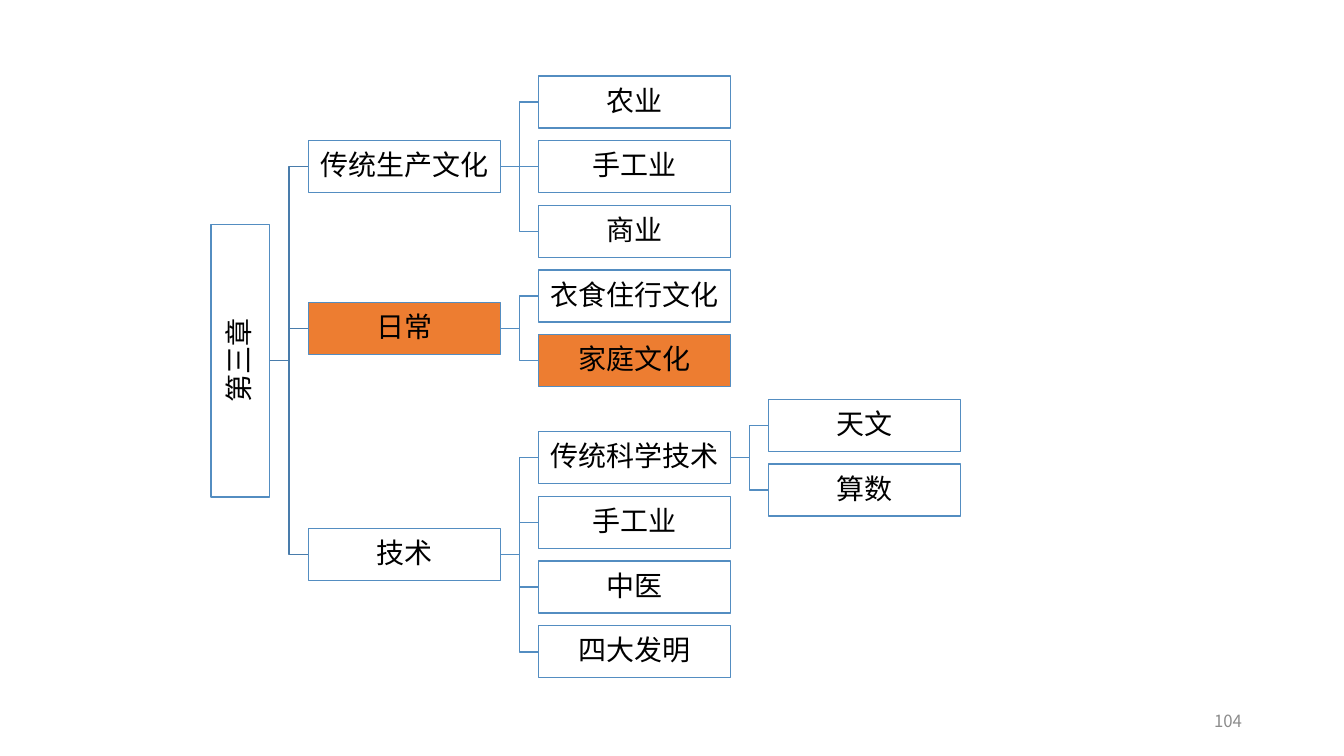
from collections.abc import Iterator
from dataclasses import dataclass

from lxml import etree
from pptx import Presentation
from pptx.dml.color import RGBColor
from pptx.enum.shapes import MSO_CONNECTOR, MSO_SHAPE
from pptx.enum.text import MSO_ANCHOR, PP_ALIGN
from pptx.oxml.ns import qn
from pptx.shapes.autoshape import Shape
from pptx.slide import Slide
from pptx.util import Cm, Pt

ELBOW, STRAIGHT = MSO_CONNECTOR.ELBOW, MSO_CONNECTOR.STRAIGHT
RECTANGLE = MSO_SHAPE.RECTANGLE
MIDDLE = MSO_ANCHOR.MIDDLE
CENTER, RIGHT = PP_ALIGN.CENTER, PP_ALIGN.RIGHT

WHITE = RGBColor(0xFF, 0xFF, 0xFF)
BLACK = RGBColor(0x00, 0x00, 0x00)
GRAY = RGBColor(0x8C, 0x8C, 0x8C)
ORANGE = RGBColor(0xED, 0x7D, 0x31)
BLUE = RGBColor(0x53, 0x8D, 0xC1)
DARK_BLUE = RGBColor(0x49, 0x7C, 0xAB)

FONT = "Noto Sans CJK SC"
FIRST_ROW, ROW_PITCH = 2.57, 1.63
FIRST_COLUMN, COLUMN_PITCH = 7.77, 5.8
BOX_WIDTH, BOX_HEIGHT = 4.84, 1.31
ROOT_CENTER, ROOT_LENGTH, ROOT_THICKNESS = 6.06, 6.87, 1.48


@dataclass(frozen=True)
class Topic:
    text: str
    leaf_row: float = 0
    children: tuple["Topic", ...] = ()
    fill: RGBColor = WHITE

    @property
    def row(self) -> float:
        if self.children:
            return (self.children[0].row + self.children[-1].row) / 2
        return self.leaf_row

    @property
    def center_y(self) -> float:
        return FIRST_ROW + self.row * ROW_PITCH


CHAPTER = Topic("第三章", children=(
    Topic("传统生产文化", children=(
        Topic("农业", 0),
        Topic("手工业", 1),
        Topic("商业", 2),
    )),
    Topic("日常", fill=ORANGE, children=(
        Topic("衣食住行文化", 3),
        Topic("家庭文化", 4, fill=ORANGE),
    )),
    Topic("技术", children=(
        Topic("传统科学技术", children=(
            Topic("天文", 5),
            Topic("算数", 6),
        )),
        Topic("手工业", 6.5),
        Topic("中医", 7.5),
        Topic("四大发明", 8.5),
    )),
))


def column_left(level: int) -> float:
    return FIRST_COLUMN + (level - 1) * COLUMN_PITCH


def column_right(level: int) -> float:
    if level == 0:
        return ROOT_CENTER + ROOT_THICKNESS / 2
    return column_left(level) + BOX_WIDTH


def walk(topic: Topic, level: int = 0) -> Iterator[tuple[Topic, int]]:
    yield topic, level
    for child in topic.children:
        yield from walk(child, level + 1)


def write_text(shape: Shape, text: str, size: int, color: RGBColor,
               paragraph_format: dict) -> None:
    shape.text_frame.vertical_anchor = MIDDLE
    paragraph = shape.text_frame.paragraphs[0]
    for name, value in paragraph_format.items():
        setattr(paragraph, name, value)
    run = paragraph.add_run()
    run.text = text
    for name, value in {"size": Pt(size), "name": FONT}.items():
        setattr(run.font, name, value)
    run.font.color.rgb = color
    etree.SubElement(run.font._element, qn("a:ea"), typeface=FONT)


def draw_connector(slide: Slide, parent: Topic, child: Topic, level: int) -> None:
    kind = STRAIGHT if parent.row == child.row else ELBOW
    connector = slide.shapes.add_connector(
        kind, Cm(column_right(level)), Cm(parent.center_y),
        Cm(column_left(level + 1)), Cm(child.center_y))
    connector.line.color.rgb = BLUE if level else DARK_BLUE
    connector.line.width = Pt(1)
    etree.SubElement(connector._element.spPr, qn("a:effectLst"))


def draw_topic(slide: Slide, topic: Topic, level: int) -> None:
    if level == 0:
        width, height = ROOT_LENGTH, ROOT_THICKNESS
        left = ROOT_CENTER - width / 2
    else:
        width, height = BOX_WIDTH, BOX_HEIGHT
        left = column_left(level)
    shape = slide.shapes.add_shape(
        RECTANGLE, Cm(left), Cm(topic.center_y - height / 2), Cm(width), Cm(height))
    shape.rotation = 0 if level else 270
    shape.shadow.inherit = False
    shape.fill.solid()
    shape.fill.fore_color.rgb = topic.fill
    shape.line.color.rgb = BLUE
    shape.line.width = Pt(1)
    for side in ("left", "top", "right", "bottom"):
        setattr(shape.text_frame, f"margin_{side}", Cm(0.03))
    shape.text_frame.word_wrap = True
    write_text(shape, topic.text, 20, BLACK,
               {"alignment": CENTER, "line_spacing": 0.9, "space_after": Pt(7)})


def draw_page_number(slide: Slide) -> None:
    box = slide.shapes.add_textbox(Cm(23.93), Cm(17.65), Cm(7.62), Cm(1.01))
    box.text_frame.word_wrap = True
    write_text(box, "104", 12, GRAY, {"alignment": RIGHT})


def main() -> None:
    presentation = Presentation()
    presentation.slide_width = Cm(33.87)
    presentation.slide_height = Cm(19.05)
    slide = presentation.slides.add_slide(presentation.slide_layouts[6])
    topics = list(walk(CHAPTER))
    for topic, level in topics:
        for child in topic.children:
            draw_connector(slide, topic, child, level)
    for topic, level in topics:
        draw_topic(slide, topic, level)
    draw_page_number(slide)
    presentation.save("out.pptx")


if __name__ == "__main__":
    main()
